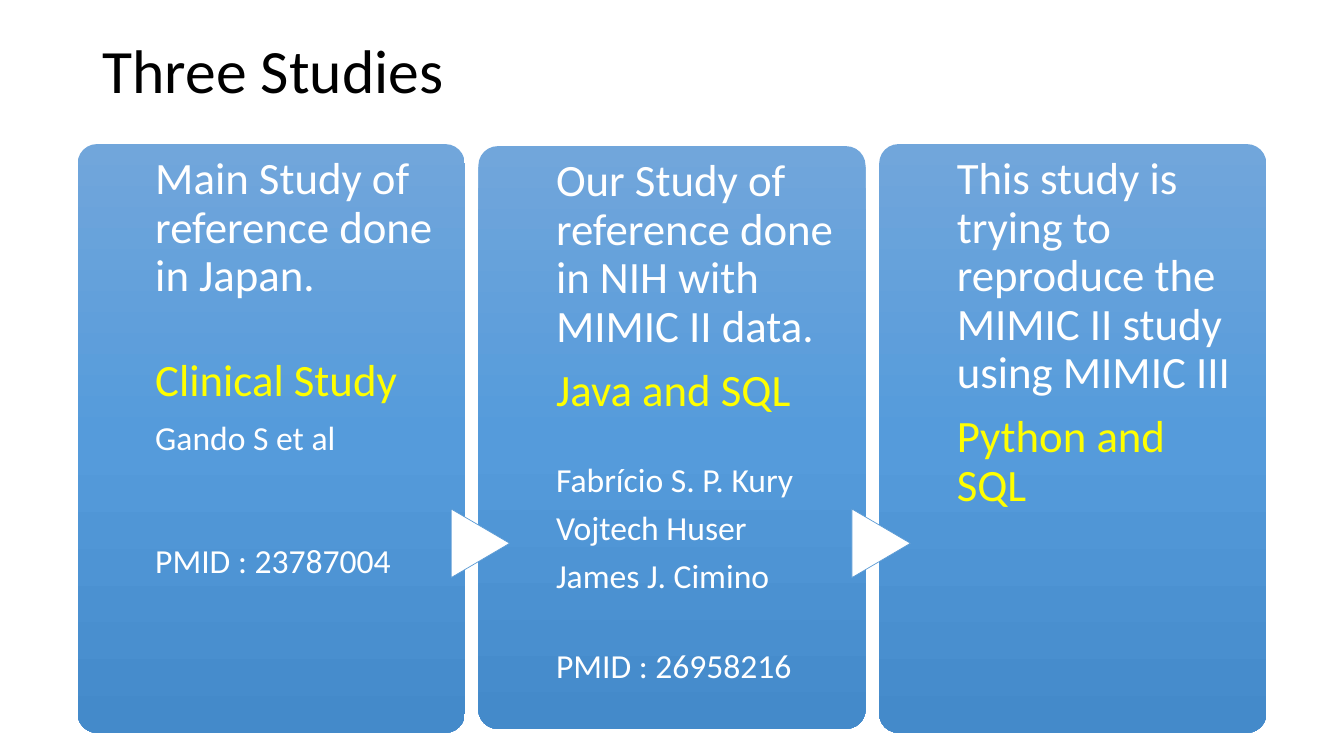
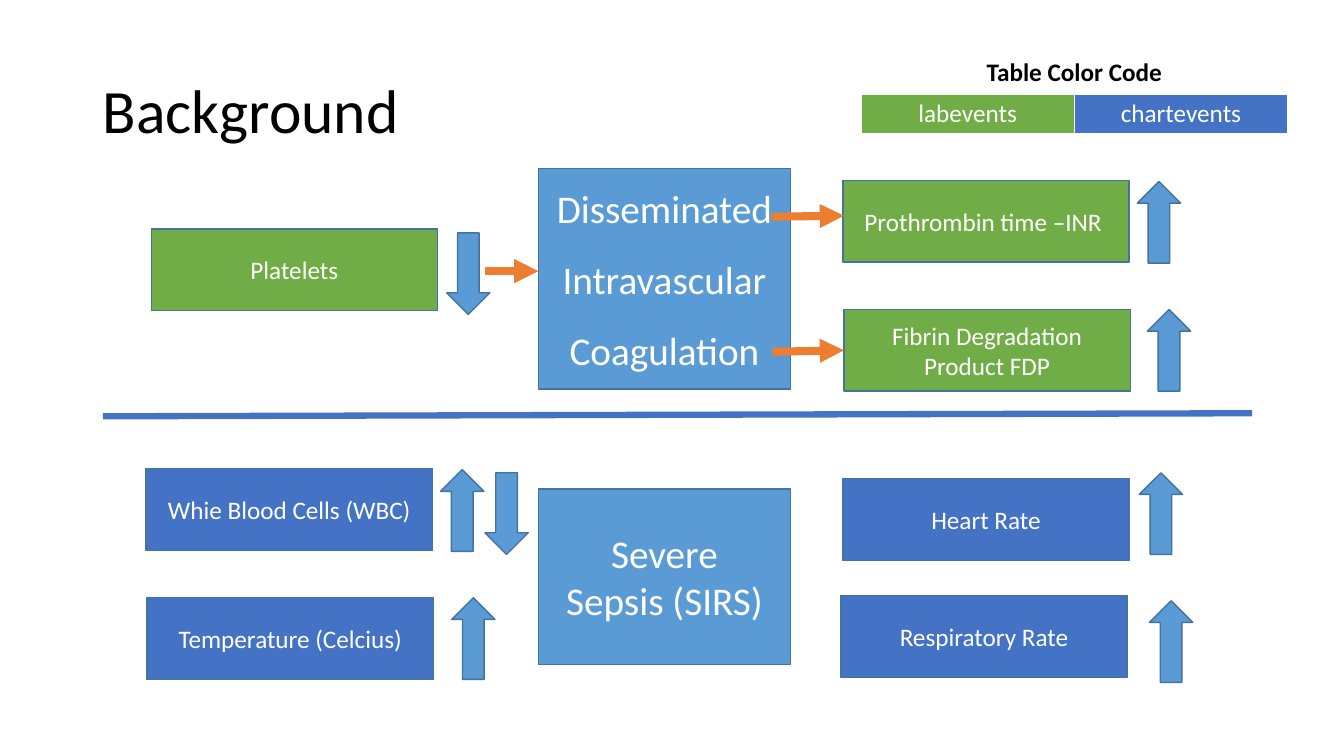
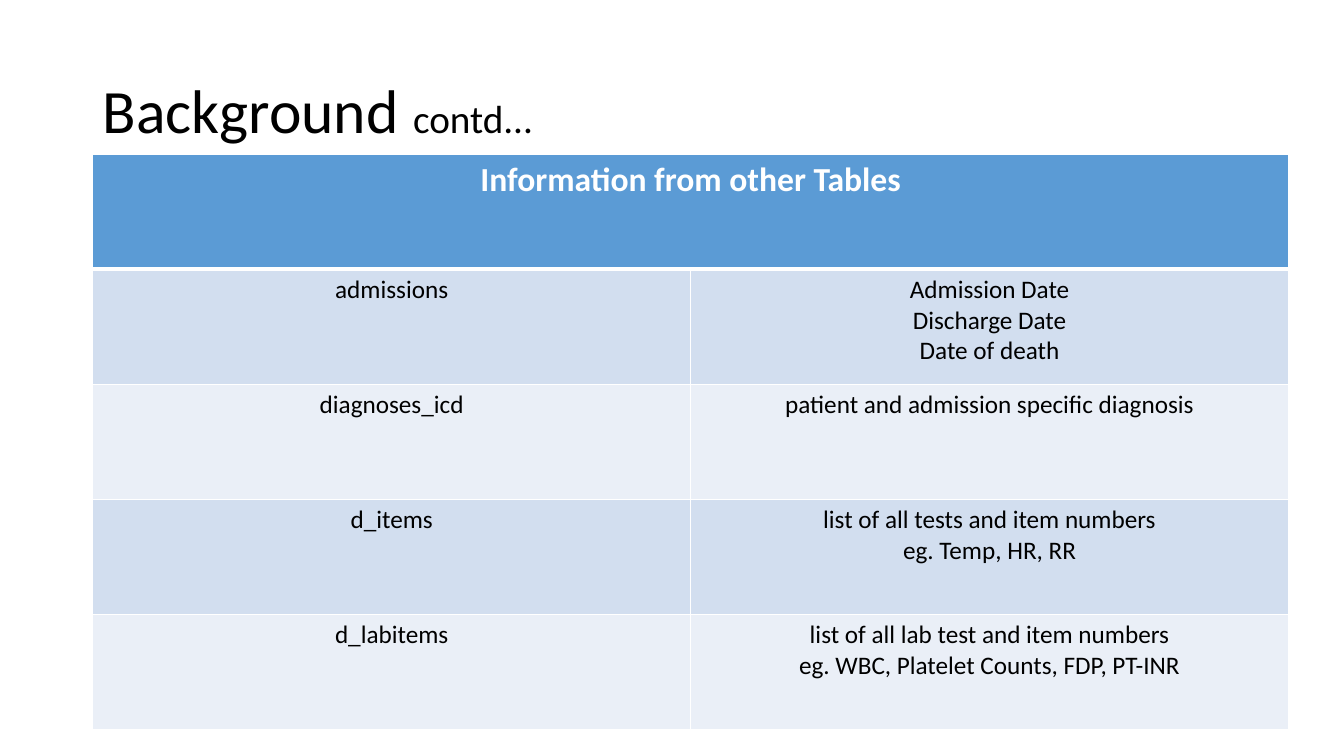
from copy import deepcopy

from lxml import etree
from pptx import Presentation
from pptx.dml.color import RGBColor
from pptx.enum.shapes import MSO_CONNECTOR, MSO_SHAPE
from pptx.enum.text import MSO_ANCHOR, PP_ALIGN
from pptx.oxml.ns import qn
from pptx.util import Inches, Pt

FONT = "Calibri"
BLACK = RGBColor(0x00, 0x00, 0x00)
WHITE = RGBColor(0xFF, 0xFF, 0xFF)
YELLOW = RGBColor(0xFF, 0xFF, 0x00)
SKY = RGBColor(0x5B, 0x9B, 0xD5)
OUTLINE = RGBColor(0x43, 0x73, 0x9E)
GREEN = RGBColor(0x70, 0xAD, 0x47)
BLUE = RGBColor(0x44, 0x72, 0xC4)
ORANGE = RGBColor(0xED, 0x7D, 0x31)
BANDS = (RGBColor(0xD2, 0xDE, 0xEF), RGBColor(0xEA, 0xEF, 0xF7))
PANEL_STOPS = (
    (0, RGBColor(0x71, 0xA6, 0xDB)),
    (0.5, RGBColor(0x55, 0x9B, 0xDB)),
    (1, RGBColor(0x44, 0x8A, 0xCA)),
)

RECTANGLE = MSO_SHAPE.RECTANGLE
ROUNDED = MSO_SHAPE.ROUNDED_RECTANGLE
EXTRACT = MSO_SHAPE.FLOWCHART_EXTRACT
UP = MSO_SHAPE.UP_ARROW
DOWN = MSO_SHAPE.DOWN_ARROW
STRAIGHT = MSO_CONNECTOR.STRAIGHT
CENTER = PP_ALIGN.CENTER
MIDDLE = MSO_ANCHOR.MIDDLE
LEFT_SIDE = 1


# Text
def add_span(para, text, size, colour, bold=False):
    span = para.add_run()
    span.text = text
    span.font.name = FONT
    span.font.size = Pt(size)
    span.font.color.rgb = colour
    span.font.bold = bold


def write_centred(frame, lines, size, colour, bold=False, gap=0):
    for index, line in enumerate(lines):
        para = frame.add_paragraph() if index else frame.paragraphs[0]
        para.alignment = CENTER
        if index:
            para.space_before = Pt(gap)
        add_span(para, line, size, colour, bold)


def add_title(page, top, *spans):
    box = page.shapes.add_textbox(Inches(0.92), Inches(top), Inches(11.5), Inches(1.45))
    frame = box.text_frame
    frame.word_wrap = True
    frame.vertical_anchor = MIDDLE
    para = frame.paragraphs[0]
    para.line_spacing = 0.9
    for text, size in spans:
        add_span(para, text, size, BLACK)


# Shapes and lines
def add_plain_shape(page, kind, left, top, width, height, fill=None, line=None, weight=1):
    shape = page.shapes.add_shape(
        kind, Inches(left), Inches(top), Inches(width), Inches(height))
    shape.shadow.inherit = False
    if fill is not None:
        shape.fill.solid()
        shape.fill.fore_color.rgb = fill
    if line is None:
        shape.line.fill.background()
    else:
        shape.line.color.rgb = line
        shape.line.width = Pt(weight)
    return shape


def add_label_box(page, left, top, lines, fill, width=2.84, height=0.81, size=18, gap=0):
    box = add_plain_shape(page, RECTANGLE, left, top, width, height, fill, OUTLINE)
    box.text_frame.word_wrap = True
    box.text_frame.vertical_anchor = MIDDLE
    write_centred(box.text_frame, lines, size, WHITE, gap=gap)
    return box


def add_line(page, start, end, colour, weight, arrow=False):
    line = page.shapes.add_connector(STRAIGHT, *(Inches(value) for value in start + end))
    line.line.color.rgb = colour
    line.line.width = Pt(weight)
    properties = line._element.spPr
    if arrow:
        etree.SubElement(properties.find(qn("a:ln")), qn("a:tailEnd"), type="triangle")
    etree.SubElement(properties, qn("a:effectLst"))
    return line


# Study panels
def add_panel(page, left, top, height):
    panel = add_plain_shape(page, ROUNDED, left, top, 3.84, height)
    panel.adjustments[0] = 0.05
    panel.fill.gradient()
    panel.fill.gradient_angle = 270
    stop_list = panel._element.spPr.find(".//" + qn("a:gsLst"))
    stop_list.append(deepcopy(stop_list[-1]))
    for stop, (position, colour) in zip(panel.fill.gradient_stops, PANEL_STOPS):
        stop.position = position
        stop.color.rgb = colour


def add_study_text(page, left, top, height, paragraphs):
    box = page.shapes.add_textbox(
        Inches(left), Inches(top), Inches(2.86), Inches(height))
    frame = box.text_frame
    frame.word_wrap = True
    frame.margin_left = frame.margin_right = frame.margin_bottom = 0
    frame.margin_top = Inches(0.12)
    for index, (text, size, colour, gap) in enumerate(paragraphs):
        para = frame.add_paragraph() if index else frame.paragraphs[0]
        para.line_spacing = 0.9
        para.space_before = Pt(gap)
        para.space_after = Pt(round(size * 0.35, 1))
        add_span(para, text, size, colour)


# Tables
def set_borders(cell, top, bottom):
    properties = cell._tc.get_or_add_tcPr()
    for index, (side, weight) in enumerate(
            (("lnL", 1), ("lnR", 1), ("lnT", top), ("lnB", bottom))):
        border = etree.Element(qn("a:" + side), w=str(Pt(weight)))
        fill = etree.SubElement(border, qn("a:solidFill"))
        etree.SubElement(fill, qn("a:srgbClr"), val=str(WHITE))
        properties.insert(index, border)


def fill_cell(cell, lines, size, colour, fill, bold=False):
    write_centred(cell.text_frame, lines, size, colour, bold)
    if fill is None:
        cell.fill.background()
    else:
        cell.fill.solid()
        cell.fill.fore_color.rgb = fill


def add_headed_table(page, place, header, header_style, rows, text_colour, row_fills):
    """Two equal columns under one header cell that spans both."""
    table = page.shapes.add_table(
        len(rows) + 1, 2, *(Inches(value) for value in place)).table
    table.first_row = table.horz_banding = False
    table.cell(0, 0).merge(table.cell(0, 1))
    fill_cell(table.cell(0, 0), [header], *header_style, bold=True)
    for column in range(2):
        set_borders(table.cell(0, column), 1, 3)
    for number, (row, fills) in enumerate(zip(rows, row_fills), start=1):
        for column, lines in enumerate(row):
            cell = table.cell(number, column)
            fill_cell(cell, lines, 18, text_colour, fills[column])
            set_borders(cell, 3 if number == 1 else 1, 1)


# Slides
def build_studies(page):
    add_title(page, 0, ("Three Studies", 44))
    # Each paragraph: text, size, colour, extra gap above in points
    studies = (
        (1.43, 5.84, (
            ("Main Study of reference done in Japan.", 32, WHITE, 0),
            ("Clinical Study", 32, YELLOW, 29),
            ("Gando S et al", 24, WHITE, 0),
            ("PMID : 23787004", 24, WHITE, 53))),
        (1.45, 5.78, (
            ("Our Study of reference done in NIH with MIMIC II data.", 32, WHITE, 0),
            ("Java and SQL", 32, YELLOW, 0),
            ("Fabrício S. P. Kury", 24, WHITE, 23),
            ("Vojtech Huser", 24, WHITE, 0),
            ("James J. Cimino", 24, WHITE, 0),
            ("PMID : 26958216", 24, WHITE, 30))),
        (1.43, 5.84, (
            ("This study is trying to reproduce the MIMIC II study using MIMIC III",
             32, WHITE, 0),
            ("Python and SQL", 32, YELLOW, 0))),
    )
    for index, (top, height, paragraphs) in enumerate(studies):
        left = 0.77 + index * 3.975
        add_panel(page, left, top, height)
        if index:
            pointer = add_plain_shape(
                page, EXTRACT, left - 0.32, 5.1, 0.68, 0.58, WHITE, SKY, 0.5)
            pointer.rotation = 90
        add_study_text(page, left + 0.77, top, height, paragraphs)


def build_background(page):
    add_title(page, 0.4, ("Background", 44))
    add_headed_table(
        page, (8.54, 0.52, 4.23, 0.81), "Table Color Code", (18, BLACK, None),
        [(["labevents"], ["chartevents"])], WHITE, [(GREEN, BLUE)])

    # Conditions
    add_label_box(page, 5.34, 1.67, ["Disseminated", "Intravascular", "Coagulation"],
                  SKY, 2.5, 2.19, 28, gap=17)
    add_label_box(page, 5.34, 4.85, ["Severe", "Sepsis (SIRS)"], SKY, 2.5, 1.74, 28)

    # Measurements
    for left, top, label, fill in (
            (1.5, 2.27, "Platelets", GREEN),
            (8.36, 1.79, "Prothrombin time –INR ", GREEN),
            (1.45, 4.65, "Whie Blood Cells (WBC)", BLUE),
            (1.46, 5.93, "Temperature (Celcius)", BLUE),
            (8.36, 4.75, "Heart Rate", BLUE),
            (8.34, 5.91, "Respiratory Rate", BLUE)):
        add_label_box(page, left, top, [label], fill)
    fibrin = add_label_box(page, 8.37, 3.07, ["Fibrin Degradation", "Product FDP"], GREEN)

    # Links between conditions and measurements
    add_line(page, (4.81, 2.69), (5.34, 2.69), ORANGE, 5.75, arrow=True)
    add_line(page, (7.65, 2.15), (8.37, 2.14), ORANGE, 5.75, arrow=True)
    fibrin_link = add_line(page, (7.66, 3.49), (8.37, 3.48), ORANGE, 5.75, arrow=True)
    fibrin_link.end_connect(fibrin, LEFT_SIDE)

    # Rising and falling values
    for kind, left, top in (
            (DOWN, 4.43, 2.31), (UP, 11.28, 1.8), (UP, 11.38, 3.07),
            (UP, 4.37, 4.66), (DOWN, 4.81, 4.69), (UP, 4.48, 5.93),
            (UP, 11.3, 4.69), (UP, 11.4, 5.96)):
        add_plain_shape(page, kind, left, top, 0.43, 0.81, SKY, OUTLINE)

    # Divider
    add_line(page, (1.02, 4.13), (12.42, 4.1), BLUE, 4.5)


def build_other_tables(page):
    add_title(page, 0.4, ("Background ", 44), ("contd...", 28))
    rows = [
        (["admissions"], ["Admission Date", "Discharge Date", "Date of death"]),
        (["diagnoses_icd"], ["patient and admission specific diagnosis"]),
        (["d_items"], ["list of all tests and item numbers", "eg. Temp, HR, RR"]),
        (["d_labitems"], ["list of all lab test and item numbers",
                          "eg. WBC, Platelet Counts, FDP, PT-INR"]),
    ]
    row_fills = [(BANDS[index % 2],) * 2 for index in range(len(rows))]
    add_headed_table(
        page, (0.92, 1.53, 11.86, 5.71), "Information from other Tables",
        (24, WHITE, SKY), rows, BLACK, row_fills)


def main():
    deck = Presentation()
    deck.slide_width = Inches(13.33)
    deck.slide_height = Inches(7.5)
    blank = deck.slide_layouts[6]
    for build in (build_studies, build_background, build_other_tables):
        build(deck.slides.add_slide(blank))
    deck.save("out.pptx")


if __name__ == "__main__":
    main()
